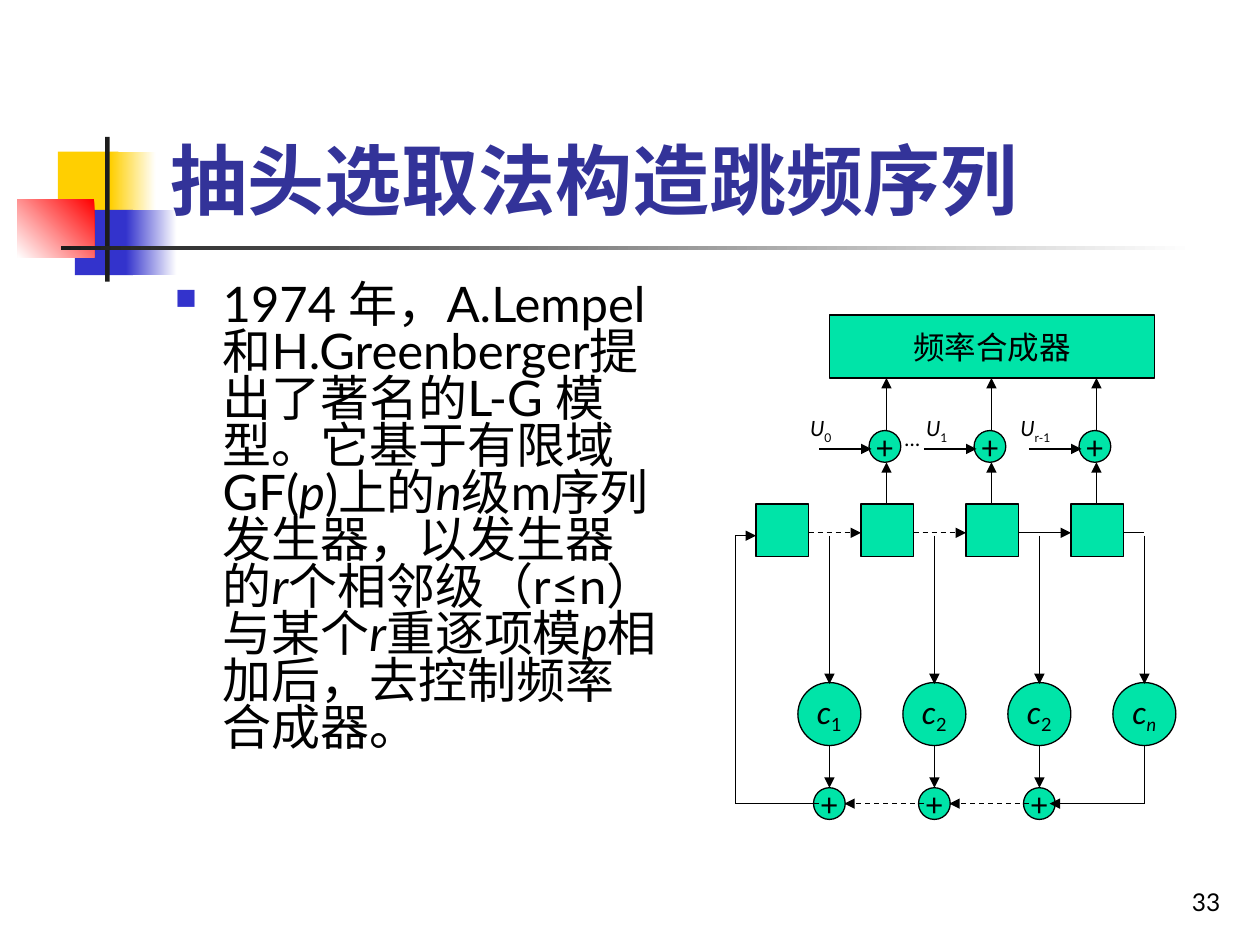
from dataclasses import dataclass

from lxml.etree import SubElement
from pptx import Presentation
from pptx.dml.color import RGBColor
from pptx.enum.dml import MSO_LINE
from pptx.enum.lang import MSO_LANGUAGE_ID
from pptx.enum.shapes import MSO_CONNECTOR, MSO_SHAPE
from pptx.enum.text import MSO_ANCHOR, PP_ALIGN
from pptx.oxml.ns import qn
from pptx.util import Cm, Pt


@dataclass(frozen=True)
class Theme:
    font: str = "Lato"
    bullet_font: str = "Wingdings"
    black: str = "000000"
    white: str = "FFFFFF"
    yellow: str = "FFCF01"
    blue: str = "3333CC"
    red: str = "FF0000"
    charcoal: str = "1C1C1C"
    title: str = "333399"
    block: str = "00E4A8"
    title_size: int = 44
    body_size: int = 28
    block_size: int = 18
    number_size: int = 14
    label_size: int = 12
    line_width: float = 0.75


class SlideBuilder:
    def __init__(self, slide, theme):
        self.shapes = slide.shapes
        self.theme = theme

    def add_runs(self, paragraph, runs, size, color, bold=False):
        for text, style in runs:
            run = paragraph.add_run()
            run.text = text
            font = run.font
            font.name = self.theme.font
            font.size = Pt(size)
            font.bold = bold
            font.italic = "i" in style
            font.color.rgb = RGBColor.from_string(color)
            font.language_id = MSO_LANGUAGE_ID.SIMPLIFIED_CHINESE
            if "_" in style:
                run._r.get_or_add_rPr().set("baseline", "-25000")

    def shape(self, kind, left, top, width, height):
        shape = self.shapes.add_shape(kind, Cm(left), Cm(top), Cm(width), Cm(height))
        shape.shadow.inherit = False
        return shape

    def bar(self, left, top, width, height, color, end_color=None, angle=0):
        shape = self.shape(MSO_SHAPE.RECTANGLE, left, top, width, height)
        shape.line.fill.background()
        if end_color is None:
            shape.fill.solid()
            shape.fill.fore_color.rgb = RGBColor.from_string(color)
            return
        shape.fill.gradient()
        shape.fill.gradient_angle = angle
        for stop, stop_color in zip(shape.fill.gradient_stops, (color, end_color)):
            stop.color.rgb = RGBColor.from_string(stop_color)

    def block(self, kind, left, top, width, height, runs=()):
        shape = self.shape(kind, left, top, width, height)
        shape.fill.solid()
        shape.fill.fore_color.rgb = RGBColor.from_string(self.theme.block)
        shape.line.color.rgb = RGBColor.from_string(self.theme.black)
        shape.line.width = Pt(self.theme.line_width)
        if runs:
            frame = shape.text_frame
            frame.word_wrap = False
            frame.vertical_anchor = MSO_ANCHOR.MIDDLE
            paragraph = frame.paragraphs[0]
            paragraph.alignment = PP_ALIGN.CENTER
            self.add_runs(paragraph, runs, self.theme.block_size, self.theme.black)

    def circle(self, center, top, diameter, runs):
        self.block(MSO_SHAPE.OVAL, center - diameter / 2, top, diameter, diameter, runs)

    def text(self, left, top, width, height, runs, size, color=None,
             bold=False, anchor=MSO_ANCHOR.TOP, alignment=PP_ALIGN.LEFT):
        box = self.shapes.add_textbox(Cm(left), Cm(top), Cm(width), Cm(height))
        frame = box.text_frame
        frame.word_wrap = True
        frame.vertical_anchor = anchor
        paragraph = frame.paragraphs[0]
        paragraph.alignment = alignment
        self.add_runs(paragraph, runs, size, color or self.theme.black, bold)
        return paragraph

    def bullet(self, paragraph, color, percent, indent):
        properties = paragraph._p.get_or_add_pPr()
        properties.set("marL", str(Cm(indent)))
        properties.set("indent", str(-Cm(indent)))
        properties.set("hangingPunct", "0")
        bullet_color = SubElement(properties, qn("a:buClr"))
        SubElement(bullet_color, qn("a:srgbClr"), val=color)
        SubElement(properties, qn("a:buSzPct"), val=str(percent * 1000))
        SubElement(properties, qn("a:buFont"), typeface=self.theme.bullet_font, charset="2")
        SubElement(properties, qn("a:buChar"), char="n")

    def line(self, x1, y1, x2, y2, arrow=False, dashed=False):
        connector = self.shapes.add_connector(
            MSO_CONNECTOR.STRAIGHT, Cm(x1), Cm(y1), Cm(x2), Cm(y2))
        line = connector.line
        line.color.rgb = RGBColor.from_string(self.theme.black)
        line.width = Pt(self.theme.line_width)
        if dashed:
            line.dash_style = MSO_LINE.DASH
        if arrow:
            SubElement(line._get_or_add_ln(), qn("a:tailEnd"), type="triangle")
        SubElement(connector._element.spPr, qn("a:effectLst"))


def draw_decoration(builder):
    theme = builder.theme
    builder.bar(1.17, 3.06, 1.22, 1.32, theme.yellow)
    builder.bar(2.23, 3.06, 0.91, 1.32, theme.yellow, theme.white)
    builder.bar(1.51, 4.23, 1.17, 1.32, theme.blue)
    builder.bar(2.54, 4.23, 1.02, 1.32, theme.blue, theme.white)
    builder.bar(0.35, 4.02, 1.55, 1.17, theme.red, theme.white, 225)
    builder.bar(2.12, 2.76, 0.09, 2.92, theme.charcoal)
    builder.bar(1.23, 4.95, 22.86, 0.09, theme.charcoal, theme.white)


def draw_text(builder):
    theme = builder.theme
    builder.text(3.19, 0.6, 21.64, 4.06, [("抽头选取法构造跳频序列", "")],
                 theme.title_size, theme.title, True, MSO_ANCHOR.BOTTOM)
    body = builder.text(3.28, 5.61, 10.26, 11.43, [
        ("1974 年，A.Lempel和H.Greenberger提出了著名的L-G 模型。它基于有限域GF(", ""),
        ("p", "i"), (")上的", ""), ("n", "i"),
        ("级m序列发生器，以发生器的", ""), ("r", "i"),
        ("个相邻级（r≤n）与某个", ""), ("r", "i"),
        ("重逐项模", ""), ("p", "i"),
        ("相加后，去控制频率合成器。", "")], theme.body_size)
    builder.bullet(body, theme.blue, 60, 0.96)
    body.line_spacing = 0.8
    builder.text(19.57, 17.33, 5.28, 1.27, [("33", "")], theme.number_size,
                 anchor=MSO_ANCHOR.BOTTOM, alignment=PP_ALIGN.RIGHT)


def draw_model(builder):
    theme = builder.theme
    tap_x, last_x = 16.72, 23.07
    step = (last_x - tap_x) / 3
    register_left, register_top, register_size = 15.24, 10.16, 1.06
    tap_y, coefficient_top = 10.8, 13.76
    adder_top, feedback_y, return_x = 15.88, 16.2, 14.82
    mixer_x, mixer_top, small = 17.84, 8.68, 0.64
    plus = [("+", "")]

    builder.block(MSO_SHAPE.RECTANGLE, 16.72, 6.35, 6.56, 1.27, [("频率合成器", "")])
    coefficients = [("1", "_"), ("2", "_"), ("2", "_"), ("n", "i_")]
    for index, subscript in enumerate(coefficients):
        shift = index * step
        x = tap_x + shift
        builder.block(MSO_SHAPE.RECTANGLE, register_left + shift, register_top,
                      register_size, register_size)
        builder.circle(x, coefficient_top, 1.27, [("c", "i"), subscript])
        builder.line(x, tap_y, x, coefficient_top + 0.03, arrow=True)

    inputs = [("0", 16.08), ("1", 18.42), ("r-1", 20.32)]
    for index, (subscript, label_left) in enumerate(inputs):
        shift = index * step
        x = tap_x + shift
        builder.circle(x, adder_top, small, plus)
        builder.line(x, 15.03, x, adder_top, arrow=True)
        builder.line(register_left + register_size + shift, 10.74,
                     register_left + step + shift, 10.74, True, dashed=index < 2)
        builder.circle(mixer_x + shift, mixer_top, small, plus)
        arrow_x = mixer_x + 0.03 + shift
        builder.line(arrow_x, register_top, arrow_x, 9.32, arrow=True)
        builder.line(arrow_x, mixer_top, arrow_x, 7.62, arrow=True)
        builder.line(16.51 + shift, 9.05, 17.57 + shift, 9.05, arrow=True)
        builder.text(label_left, 8.26, 1.47, 0.84,
                     [("U", "i"), (subscript, "_")], theme.label_size)
    builder.text(17.98, 8.46, 1.27, 0.76, [("…", "")], theme.label_size)

    for shift in (0, step):
        builder.line(18.08 + shift, feedback_y, 17.02 + shift, feedback_y, True, True)
        builder.line(17.98 + shift, feedback_y, 18.62 + shift, feedback_y, dashed=True)
    builder.line(22.66, 10.73, last_x, 10.73)
    builder.line(last_x, 15.03, last_x, feedback_y)
    builder.line(last_x, feedback_y, 21.16, feedback_y, arrow=True)
    builder.line(16.51, feedback_y, return_x, feedback_y)
    builder.line(return_x, feedback_y, return_x, tap_y)
    builder.line(return_x, tap_y, register_left, tap_y, arrow=True)


def main():
    presentation = Presentation()
    presentation.slide_width = Cm(25.4)
    presentation.slide_height = Cm(19.05)
    slide = presentation.slides.add_slide(presentation.slide_layouts[6])
    builder = SlideBuilder(slide, Theme())
    draw_decoration(builder)
    draw_text(builder)
    draw_model(builder)
    presentation.save("out.pptx")


if __name__ == "__main__":
    main()
